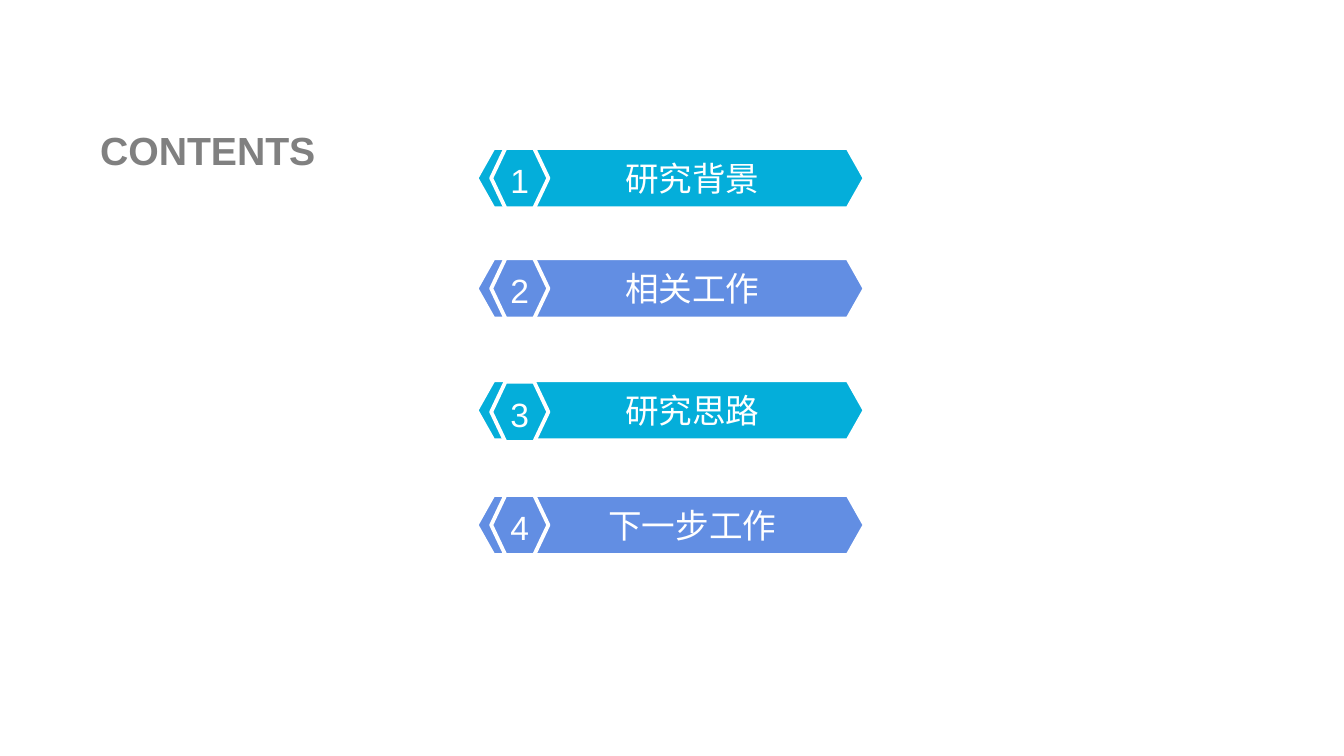
import pptx
import pptx.dml.color
import pptx.enum.shapes
import pptx.enum.text
import pptx.util
from dataclasses import dataclass

Cm = pptx.util.Cm
Pt = pptx.util.Pt


@dataclass(frozen=True)
class Theme:
    font: str = "Arial"
    cyan: str = "04AEDA"
    blue: str = "628EE3"
    white: str = "FFFFFF"
    grey: str = "808080"
    title_size: int = 28
    item_size: int = 24
    outline: float = 2.75


theme = Theme()


def write_text(shape, text, size, color, insets, bold=False):
    frame = shape.text_frame
    frame.word_wrap = True
    frame.auto_size = pptx.enum.text.MSO_AUTO_SIZE.NONE
    frame.vertical_anchor = pptx.enum.text.MSO_ANCHOR.MIDDLE
    frame.margin_left, frame.margin_top, frame.margin_right, frame.margin_bottom = map(Cm, insets)
    paragraph = frame.paragraphs[0]
    paragraph.alignment = pptx.enum.text.PP_ALIGN.CENTER
    run = paragraph.add_run()
    run.text = text
    run.font.name = theme.font
    run.font.size = Pt(size)
    run.font.bold = bold
    run.font.color.rgb = pptx.dml.color.RGBColor.from_string(color)
    return paragraph


def paint(shape, color):
    shape.shadow.inherit = False
    shape.fill.solid()
    shape.fill.fore_color.rgb = pptx.dml.color.RGBColor.from_string(color)
    shape.line.color.rgb = pptx.dml.color.RGBColor.from_string(theme.white)
    shape.line.width = Pt(theme.outline)


presentation = pptx.Presentation()
presentation.slide_width = Cm(33.87)
presentation.slide_height = Cm(19.05)
slide = presentation.slides.add_slide(presentation.slide_layouts[5])

# Title
title = slide.shapes.title
title.left, title.top, title.width, title.height = Cm(1.73), Cm(3.05), Cm(7.01), Cm(1.45)
write_text(title, "CONTENTS", theme.title_size, theme.grey, (0.25, 0.13, 0.25, 0.13), bold=True)
title.text_frame.vertical_anchor = pptx.enum.text.MSO_ANCHOR.TOP

# Agenda: each entry has a label, the top of its bar and the top of its badge
agenda = [
    ("研究背景", 3.73, 3.73),
    ("相关工作", 6.51, 6.51),
    ("研究思路", 9.58, 9.62),
    ("下一步工作", 12.47, 12.47),
]
bar_left, bar_width, row_height = 12.01, 9.78, 1.52
badge_left, badge_width, badge_slope = 12.38, 1.44, 0.36

for number, (label, bar_top, badge_top) in enumerate(agenda, start=1):
    color = theme.cyan if number % 2 else theme.blue
    group = slide.shapes.add_group_shape()

    # Bar with the label
    bar = group.shapes.add_shape(
        pptx.enum.shapes.MSO_SHAPE.HEXAGON,
        Cm(bar_left), Cm(bar_top), Cm(bar_width), Cm(row_height))
    bar.adjustments[0] = 0.282
    paint(bar, color)
    write_text(bar, label, theme.item_size, theme.white, (1.3, 0, 0.2, 0))

    # Badge with the number
    badge_right = badge_left + badge_width
    badge_middle = badge_top + row_height / 2
    badge_bottom = badge_top + row_height
    corners = [
        (badge_left + badge_slope, badge_top),
        (badge_right - badge_slope, badge_top),
        (badge_right, badge_middle),
        (badge_right - badge_slope, badge_bottom),
        (badge_left + badge_slope, badge_bottom),
        (badge_left, badge_middle),
    ]
    points = [(Cm(x), Cm(y)) for x, y in corners]
    builder = group.shapes.build_freeform(*points[0])
    builder.add_line_segments(points[1:], close=True)
    badge = builder.convert_to_shape()
    paint(badge, color)
    paragraph = write_text(badge, str(number), theme.item_size, theme.white, (0, 0, 0, 0))
    paragraph.line_spacing = 1.1

presentation.save("out.pptx")
